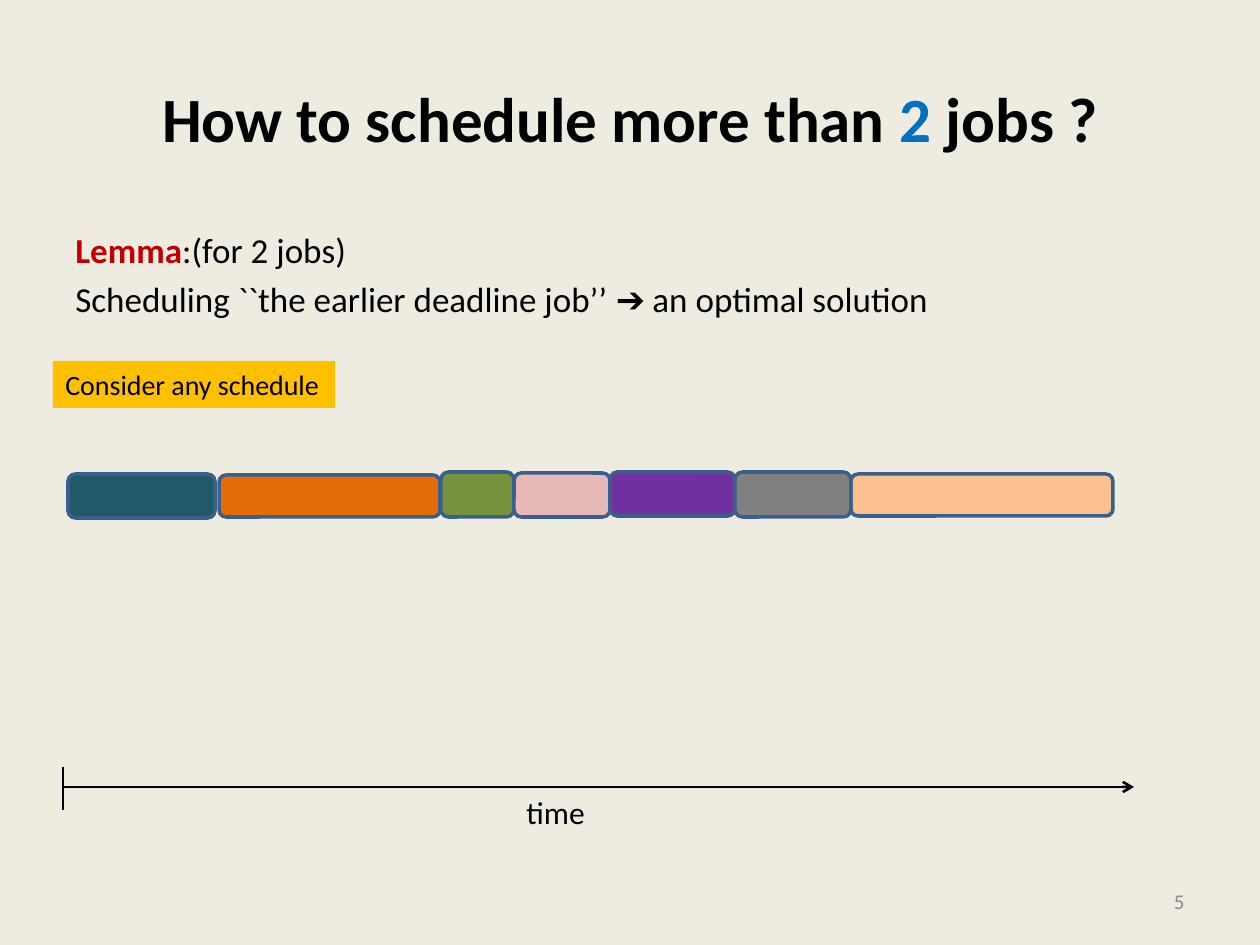
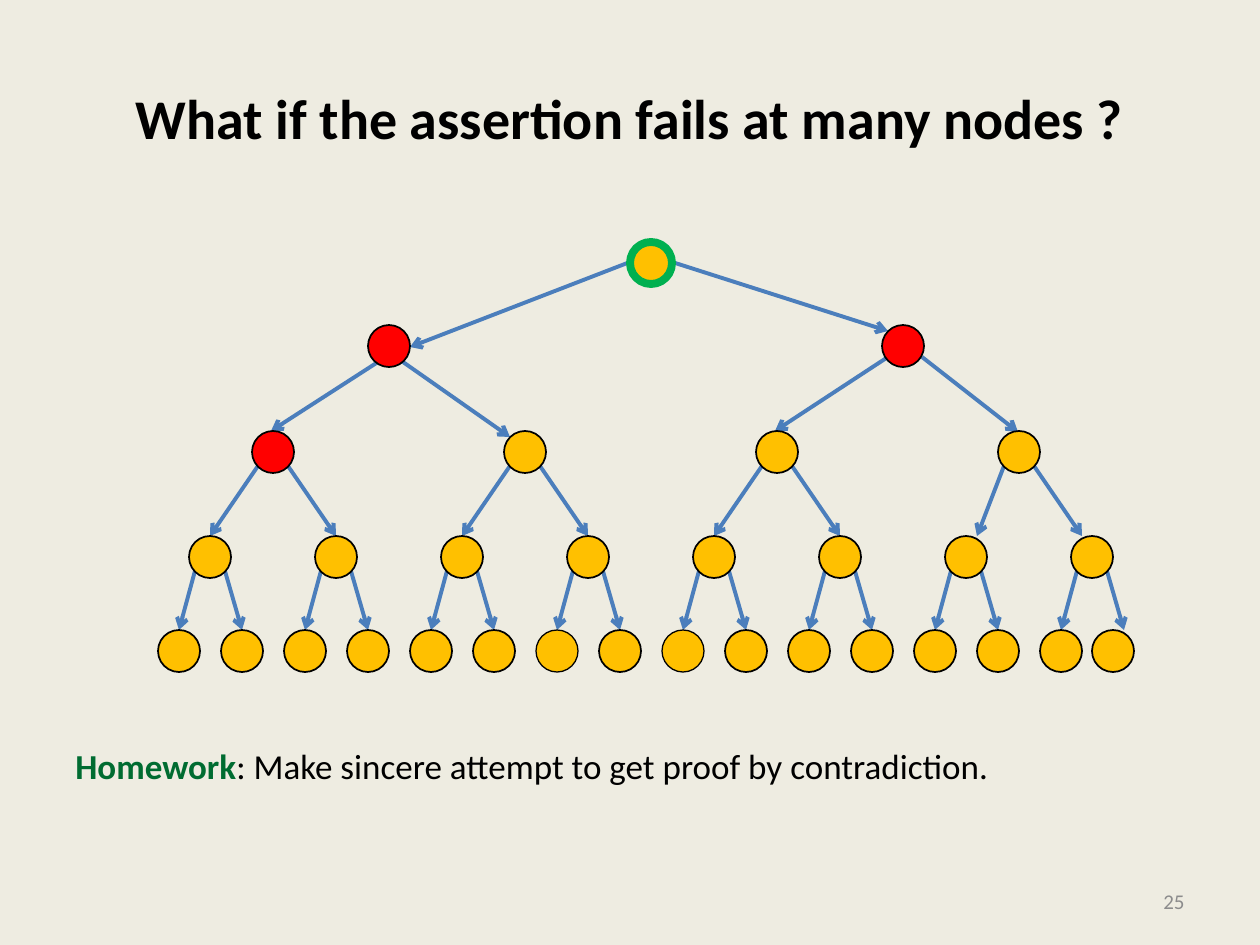
"""Build two lecture slides: a job schedule on a time axis and a binary tree of nodes."""
from dataclasses import dataclass

import pptx
import pptx.dml.color
import pptx.enum.shapes
import pptx.enum.text
import pptx.oxml.ns
import pptx.slide
import pptx.util
from lxml import etree

EMU_PER_PX = 914400 / 126
FONT = "Calibri"
COLORS = {
    "paper": "EEECE1", "black": "000000", "number": "8C8C8C", "blue": "0070C0",
    "lemma": "C00000", "homework": "006C31", "amber": "FFC000", "red": "FF0000",
    "green": "00B050", "edge": "4B7EBC", "job_line": "3A5F8C", "teal": "215968",
    "orange": "E46C0A", "olive": "77933C", "pink": "E6B9B8", "purple": "7030A0",
    "gray": "808080", "peach": "FAC090",
}
SHAPE = pptx.enum.shapes.MSO_SHAPE
ALIGN = pptx.enum.text.PP_ALIGN
ANCHOR = pptx.enum.text.MSO_ANCHOR
NODE = 42
ROOT_Y, CHILD_Y, INNER_Y, PARENT_Y, LEAF_Y = 242, 325, 431, 536, 630


@dataclass(frozen=True)
class Box:
    x: int
    y: int
    w: int
    h: int


@dataclass(frozen=True)
class Run:
    text: str
    color: str = "black"
    bold: bool = False


@dataclass(frozen=True)
class Figure:
    box: Box
    fill: str
    line: str = "black"
    width: float = 1


@dataclass(frozen=True)
class Line:
    x1: int
    y1: int
    x2: int
    y2: int


TITLE = Box(63, 38, 1134, 158)
NUMBER = Box(903, 876, 294, 50)
JOBS = [
    Figure(Box(x, y, w, h), color, "job_line", 2)
    for x, y, w, h, color in (
        (68, 474, 147, 44, "teal"),
        (851, 474, 262, 42, "peach"),
        (219, 475, 221, 42, "orange"),
        (441, 472, 73, 45, "olive"),
        (610, 472, 125, 44, "purple"),
        (514, 473, 96, 44, "pink"),
        (735, 472, 116, 45, "gray"),
    )
]


def px(n: int) -> pptx.util.Emu:
    """Turn pixels into EMU."""
    return pptx.util.Emu(round(n * EMU_PER_PX))


def rgb(name: str) -> pptx.dml.color.RGBColor:
    """Look up a colour by name."""
    return pptx.dml.color.RGBColor.from_string(COLORS[name])


def add_text(s: pptx.slide.Slide, box: Box, paragraphs: list[list[Run]], size: int,
             align=ALIGN.LEFT, anchor=ANCHOR.TOP, wrap: bool = True, fill: str = "") -> None:
    """Add a text box with one list of runs for each paragraph."""
    sp = s.shapes.add_textbox(px(box.x), px(box.y), px(box.w), px(box.h))
    if fill:
        sp.fill.solid()
        sp.fill.fore_color.rgb = rgb(fill)
    tf = sp.text_frame
    tf.word_wrap = wrap
    tf.vertical_anchor = anchor
    for i, runs in enumerate(paragraphs):
        p = tf.add_paragraph() if i else tf.paragraphs[0]
        p.alignment = align
        if i:
            p.space_before = pptx.util.Pt(size * 0.2)
        for run in runs:
            r = p.add_run()
            r.text = run.text
            r.font.name = FONT
            r.font.size = pptx.util.Pt(size)
            r.font.bold = run.bold
            r.font.color.rgb = rgb(run.color)


def add_figure(s: pptx.slide.Slide, figure: Figure, kind: SHAPE) -> None:
    """Add a filled and outlined preset shape."""
    box = figure.box
    sp = s.shapes.add_shape(kind, px(box.x), px(box.y), px(box.w), px(box.h))
    sp.shadow.inherit = False
    sp.fill.solid()
    sp.fill.fore_color.rgb = rgb(figure.fill)
    sp.line.color.rgb = rgb(figure.line)
    sp.line.width = pptx.util.Pt(figure.width)


def add_line(s: pptx.slide.Slide, line: Line, color: str, width: float, arrow: bool = True) -> None:
    """Add a straight connector, with an arrowhead at its end if wanted."""
    sp = s.shapes.add_connector(pptx.enum.shapes.MSO_CONNECTOR.STRAIGHT,
                                px(line.x1), px(line.y1), px(line.x2), px(line.y2))
    sp.line.color.rgb = rgb(color)
    sp.line.width = pptx.util.Pt(width)
    qn = pptx.oxml.ns.qn
    if arrow:
        etree.SubElement(sp.line._get_or_add_ln(), qn("a:tailEnd"), type="arrow")
    etree.SubElement(sp._element.spPr, qn("a:effectLst"))


def add_slide(prs, title: list[Run], size: int, number: int) -> pptx.slide.Slide:
    """Add a blank slide with the shared background, title and number."""
    s = prs.slides.add_slide(prs.slide_layouts[6])
    s.background.fill.solid()
    s.background.fill.fore_color.rgb = rgb("paper")
    add_text(s, TITLE, [title], size, ALIGN.CENTER, ANCHOR.MIDDLE)
    add_text(s, NUMBER, [[Run(str(number), "number")]], 12, ALIGN.RIGHT, ANCHOR.MIDDLE)
    return s


def fork(x: int, y: int, left: int, right: int) -> list[Line]:
    """Return the two edges from a node down to the given x positions."""
    bottom = PARENT_Y if y == INNER_Y else LEAF_Y
    return [Line(x + 6, y + 35, left, bottom), Line(x + 36, y + 35, right, bottom)]


def tree_edges(inner: list[int], parents: list[int]) -> list[Line]:
    """Return all edges of the tree."""
    edges = [
        Line(630, 262, 410, 347), Line(672, 262, 888, 331),
        Line(378, 362, 271, 431), Line(403, 362, 510, 437),
        Line(888, 357, 775, 431), Line(922, 357, 1018, 432),
    ]
    for x in inner:
        edges += fork(x, INNER_Y, 977 if x == inner[-1] else x - 42, x + 84)
    for x in parents:
        edges += fork(x, PARENT_Y, x - 10, x + 53)
    return edges


def tree_nodes(inner: list[int], parents: list[int]) -> list[Figure]:
    """Return all nodes of the tree."""
    def node(x: int, y: int, fill: str = "amber", line: str = "black", width: float = 1) -> Figure:
        """Return one round node."""
        return Figure(Box(x, y, NODE, NODE), fill, line, width)

    leaves = [158 + 63 * i for i in range(15)] + [1092]
    nodes = [node(x, LEAF_Y, width=0.75 if i in (6, 8) else 1) for i, x in enumerate(leaves)]
    nodes += [node(x, PARENT_Y) for x in parents]
    nodes += [node(x, INNER_Y, "amber" if i else "red") for i, x in enumerate(inner)]
    nodes += [node(x, CHILD_Y, "red") for x in (368, 882)]
    return nodes + [node(630, ROOT_Y, line="green", width=4.5)]


def build_schedule(prs) -> None:
    """Build the slide on scheduling jobs."""
    title = [Run("How to schedule more than ", bold=True), Run("2", "blue", True),
             Run(" jobs ?", bold=True)]
    s = add_slide(prs, title, 36, 5)
    add_text(s, Box(63, 222, 1134, 110), [
        [Run("Lemma", "lemma", True), Run(":(for 2 jobs)")],
        [Run("Scheduling ``the earlier deadline job’’ ➔ an optimal solution")],
    ], 20)
    for job in JOBS:
        add_figure(s, job, SHAPE.ROUNDED_RECTANGLE)
    add_line(s, Line(63, 787, 1134, 787), "black", 1.5)
    add_line(s, Line(63, 767, 63, 810), "black", 1.5, arrow=False)
    add_text(s, Box(514, 787, 84, 50), [[Run("time")]], 18, wrap=False)
    add_text(s, Box(53, 361, 282, 47), [[Run("Consider any schedule")]], 16,
             wrap=False, fill="amber")


def build_tree(prs) -> None:
    """Build the slide with the tree of nodes."""
    title = [Run("What if the assertion fails at many nodes ?", bold=True)]
    s = add_slide(prs, title, 32, 25)
    add_text(s, Box(63, 738, 1134, 106), [[
        Run("Homework", "homework", True),
        Run(": Make sincere attempt to get proof by contradiction."),
    ]], 20)
    inner = [252, 504, 756, 998]
    parents = [189 + 126 * i for i in range(8)]
    for edge in tree_edges(inner, parents):
        add_line(s, edge, "edge", 2.25)
    for node in tree_nodes(inner, parents):
        add_figure(s, node, SHAPE.OVAL)


def main() -> None:
    """Build and save the presentation."""
    prs = pptx.Presentation()
    prs.slide_width, prs.slide_height = px(1260), px(945)
    build_schedule(prs)
    build_tree(prs)
    prs.save("out.pptx")


if __name__ == "__main__":
    main()
